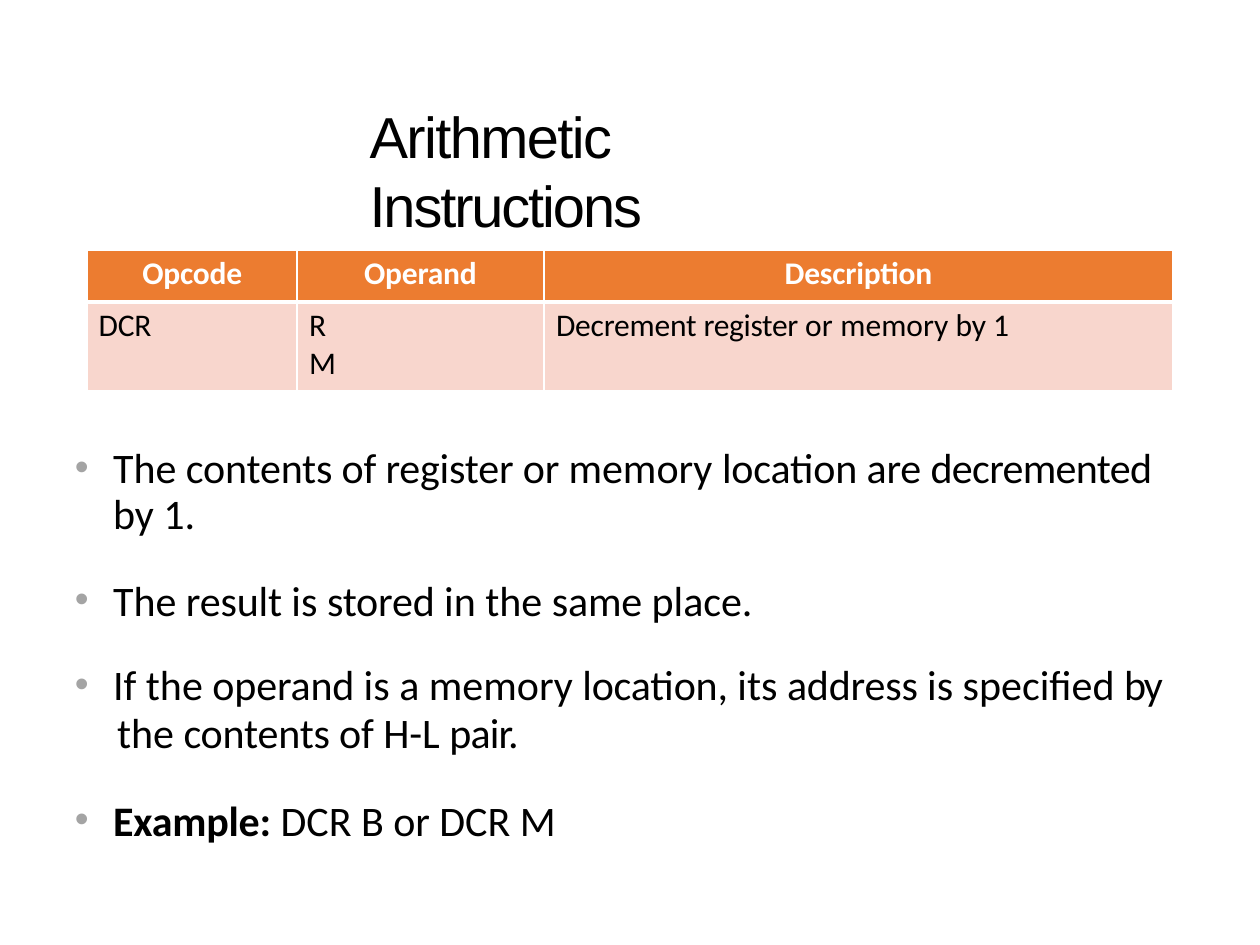
from dataclasses import dataclass

from lxml import etree
from pptx import Presentation
from pptx.dml.color import RGBColor
from pptx.enum.text import MSO_ANCHOR, MSO_AUTO_SIZE, PP_ALIGN
from pptx.oxml.ns import qn
from pptx.util import Cm, Pt

LEFT, CENTER = PP_ALIGN.LEFT, PP_ALIGN.CENTER
TOP = MSO_ANCHOR.TOP
GROW = MSO_AUTO_SIZE.SHAPE_TO_FIT_TEXT


@dataclass(frozen=True)
class Theme:
    """Colours, fonts and type sizes of the slide."""
    black: str = "000000"
    white: str = "FFFFFF"
    orange: str = "EC7C30"
    pink: str = "F8D6CD"
    grey: str = "A4A4A4"
    title_font: str = "Arial"
    body_font: str = "Calibri"
    title_size: int = 33
    table_size: int = 18
    body_size: int = 24


THEME = Theme()

HEADINGS = [("Opcode", 1.12, LEFT), ("Operand", 1.35, LEFT), ("Description", 0, CENTER)]
DETAILS = [
    [[("DCR", -0.1)]],
    [[("R", 0)], [("M", 0)]],
    [[("Decrement ", -0.1), ("register ", -0.2), ("or ", 0.1), ("memory ", 0),
      ("by ", -0.1), ("1", 0)]],
]
DECREMENT = [("The ", 0), ("contents of register or ", -0.1), ("memory ", 0),
             ("location are ", -0.1), ("decremented ", -0.4), ("by 1.", 0)]
RESULT = [("The ", 0), ("result ", -0.1), ("is ", 0), ("stored ", -0.1),
          ("in the ", 0), ("same ", -0.1), ("place.", 0)]
ADDRESS = [("If the ", 0), ("operand ", -0.1), ("is a memory ", 0),
           ("location, ", -0.1), ("its ", 0), ("address ", -0.1),
           ("is specified ", 0), ("by", -1.3)]
PAIR = [("the ", 0), ("contents of ", -0.1), ("H-L ", 0), ("pair.", -0.5)]
EXAMPLE = [("Example: ", -0.1, True), ("DCR B ", 0), ("or ", -0.1), ("DCR ", 0), ("M", -2.2)]


def add_span(para, text, spacing, size, font, color, bold=False):
    """Add one run with its letter spacing in points."""
    span = para.add_run()
    span.text = text
    span.font.size = Pt(size)
    span.font.name = font
    span.font.bold = bold
    span.font.color.rgb = RGBColor.from_string(color)
    span._r.get_or_add_rPr().set("spc", str(round(spacing * 100)))


def set_indent(para, left, hanging=0):
    """Set the left margin and hanging indent of a paragraph."""
    properties = para._p.get_or_add_pPr()
    properties.set("marL", str(Cm(left)))
    properties.set("indent", str(-Cm(hanging)))


def add_bullet(para):
    """Give a paragraph a grey round bullet."""
    properties = para._p.get_or_add_pPr()
    color = etree.SubElement(properties, qn("a:buClr"))
    etree.SubElement(color, qn("a:srgbClr"), val=THEME.grey)
    etree.SubElement(properties, qn("a:buSzPct"), val="94000")
    etree.SubElement(properties, qn("a:buFont"), typeface="Arial")
    etree.SubElement(properties, qn("a:buChar"), char="•")


def set_frame(frame, top_inset):
    """Make a text frame wrap, start at the top and grow with its text."""
    frame.word_wrap = True
    frame.auto_size = GROW
    frame.vertical_anchor = TOP
    frame.margin_left = frame.margin_right = frame.margin_bottom = 0
    frame.margin_top = Cm(top_inset)


def next_para(frame, index):
    """Return the first paragraph of a frame or a new one."""
    return frame.add_paragraph() if index else frame.paragraphs[0]


def set_border(cell, side, width):
    """Draw one white edge of a cell."""
    line = etree.SubElement(cell._tc.get_or_add_tcPr(), qn(f"a:{side}"), w=str(Pt(width)))
    fill = etree.SubElement(line, qn("a:solidFill"))
    etree.SubElement(fill, qn("a:srgbClr"), val=THEME.white)


def style_cell(cell, fill, top, bottom):
    """Set the margins, edges and fill of a cell."""
    cell.margin_left = cell.margin_right = cell.margin_bottom = 0
    cell.margin_top = Cm(0.08)
    cell.vertical_anchor = TOP
    for side, width in (("lnL", 1), ("lnR", 1), ("lnT", top), ("lnB", bottom)):
        set_border(cell, side, width)
    cell.fill.solid()
    cell.fill.fore_color.rgb = RGBColor.from_string(fill)


def add_title(page):
    """Place and fill the title."""
    title = page.shapes.title
    title.left, title.top, title.width, title.height = Cm(7.42), Cm(1.98), Cm(10.59), Cm(1.47)
    set_frame(title.text_frame, 0.05)
    para = title.text_frame.paragraphs[0]
    para.alignment = LEFT
    set_indent(para, 0.03)
    for text, spacing in (("Arithmetic ", -0.9), ("Instructions", -1.2)):
        add_span(para, text, spacing, THEME.title_size, THEME.title_font, THEME.black)


def add_opcode_table(page):
    """Add the table of opcode, operand and description."""
    table = page.shapes.add_table(2, 3, Cm(1.75), Cm(5.05), Cm(21.9), Cm(2.82)).table
    for column, width in zip(table.columns, (4.24, 4.98, 12.67)):
        column.width = Cm(width)
    for row, height in zip(table.rows, (1.04, 1.78)):
        row.height = Cm(height)
    for index, (heading, indent, alignment) in enumerate(HEADINGS):
        cell = table.cell(0, index)
        style_cell(cell, THEME.orange, 1, 3)
        para = cell.text_frame.paragraphs[0]
        para.alignment = alignment
        set_indent(para, indent)
        add_span(para, heading, -0.1, THEME.table_size, THEME.body_font, THEME.white, True)
    for index, lines in enumerate(DETAILS):
        cell = table.cell(1, index)
        style_cell(cell, THEME.pink, 3, 1)
        for number, spans in enumerate(lines):
            para = next_para(cell.text_frame, number)
            set_indent(para, 0.24)
            for text, spacing in spans:
                add_span(para, text, spacing, THEME.table_size, THEME.body_font, THEME.black)


def add_notes_list(page):
    """Add the bulleted explanation below the table."""
    box = page.shapes.add_textbox(Cm(1.5), Cm(8.86), Cm(22.12), Cm(8.2))
    set_frame(box.text_frame, 0.15)
    items = [(DECREMENT, True, 0, 25.9), (RESULT, True, 20.8, None),
             (ADDRESS, True, 21.1, 27.4), (PAIR, False, 0, 27.4),
             (EXAMPLE, True, 21.1, None)]
    for index, (spans, bulleted, before, leading) in enumerate(items):
        para = next_para(box.text_frame, index)
        if bulleted:
            set_indent(para, 0.78, 0.77)
            add_bullet(para)
        else:
            set_indent(para, 0.86)
        if before:
            para.space_before = Pt(before)
        if leading:
            para.line_spacing = Pt(leading)
        for text, spacing, *bold in spans:
            add_span(para, text, spacing, THEME.body_size, THEME.body_font,
                     THEME.black, bool(bold))


def main():
    """Build and save the slide."""
    deck = Presentation()
    deck.slide_width, deck.slide_height = Cm(25.4), Cm(19.05)
    page = deck.slides.add_slide(deck.slide_layouts[5])
    add_title(page)
    add_opcode_table(page)
    add_notes_list(page)
    deck.save("out.pptx")


if __name__ == "__main__":
    main()
